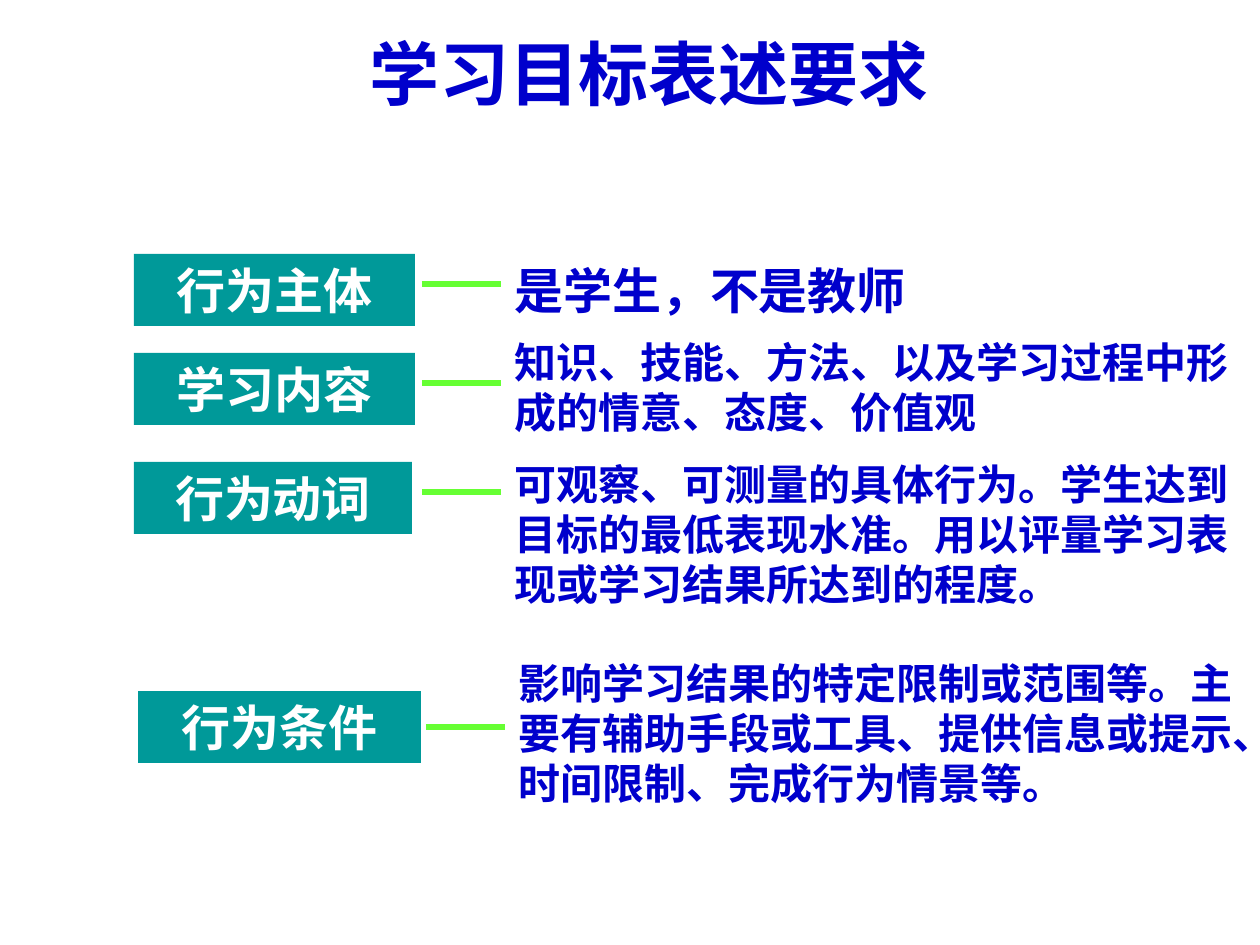
from lxml.etree import SubElement
from pptx import Presentation
from pptx.dml.color import RGBColor
from pptx.enum.shapes import MSO_CONNECTOR as Link, MSO_SHAPE as Kind
from pptx.enum.text import MSO_AUTO_SIZE as Fit, PP_ALIGN as Align
from pptx.oxml.ns import qn
from pptx.util import Emu, Pt

PX = 914400 / 126
FONT = "Noto Sans CJK SC"
BLUE, TEAL, LIME, WHITE = "0000CC", "009999", "66FF33", "FFFFFF"


def color(code):
    return RGBColor.from_string(code)


def put(text, box, size, ink, fill=None):
    """Add bold text, centred in a filled box or left in a plain one."""
    place = [Emu(round(n * PX)) for n in box]
    if fill:
        shape = shapes.add_shape(Kind.RECTANGLE, *place)
        shape.shadow.inherit = False
        shape.fill.solid()
        shape.fill.fore_color.rgb = color(fill)
        shape.line.fill.background()
    else:
        shape = shapes.add_textbox(*place)
    frame = shape.text_frame
    frame.word_wrap = True
    frame.auto_size = Fit.SHAPE_TO_FIT_TEXT
    frame.text = text
    par = frame.paragraphs[0]
    par.alignment = Align.CENTER if fill else Align.LEFT
    run = par.runs[0]
    font = run.font
    font.name, font.size, font.bold = FONT, Pt(size), True
    font.color.rgb = color(ink)
    SubElement(font._element, qn("a:ea"), typeface=FONT)


deck = Presentation()
deck.slide_width, deck.slide_height = Emu(9144000), Emu(6858000)
shapes = deck.slides.add_slide(deck.slide_layouts[6]).shapes

# Title
put("学习目标表述要求", (272, 24, 754, 97), 40, BLUE, WHITE)

# Rows: label, its left, top and width; line height; note, its top, width, height and size
rows = [
    ("行为主体", 134, 254, 281, 284, "是学生，不是教师", 254, 515, 72, 28),
    ("学习内容", 134, 353, 281, 383,
     "知识、技能、方法、以及学习过程中形成的情意、态度、价值观", 330, 745, 113, 24),
    ("行为动词", 134, 462, 278, 492,
     "可观察、可测量的具体行为。学生达到目标的最低表现水准。"
     "用以评量学习表现或学习结果所达到的程度。", 452, 745, 164, 24),
    ("行为条件", 138, 691, 283, 727,
     "影响学习结果的特定限制或范围等。主要有辅助手段或工具、"
     "提供信息或提示、时间限制、完成行为情景等。", 651, 745, 164, 24),
]
for label, left, top, wide, mid, note, head, span, high, size in rows:
    put(label, (left, top, wide, 72), 28, WHITE, TEAL)
    put(note, (left + 368, head, span, high), size, BLUE)

    # Line from label to note
    ends = [Emu(round(n * PX)) for n in (left + 288, mid, left + 367, mid)]
    line = shapes.add_connector(Link.STRAIGHT, *ends)
    line.line.color.rgb = color(LIME)
    line.line.width = Pt(3)
    SubElement(line._element.spPr, qn("a:effectLst"))

deck.save("out.pptx")
